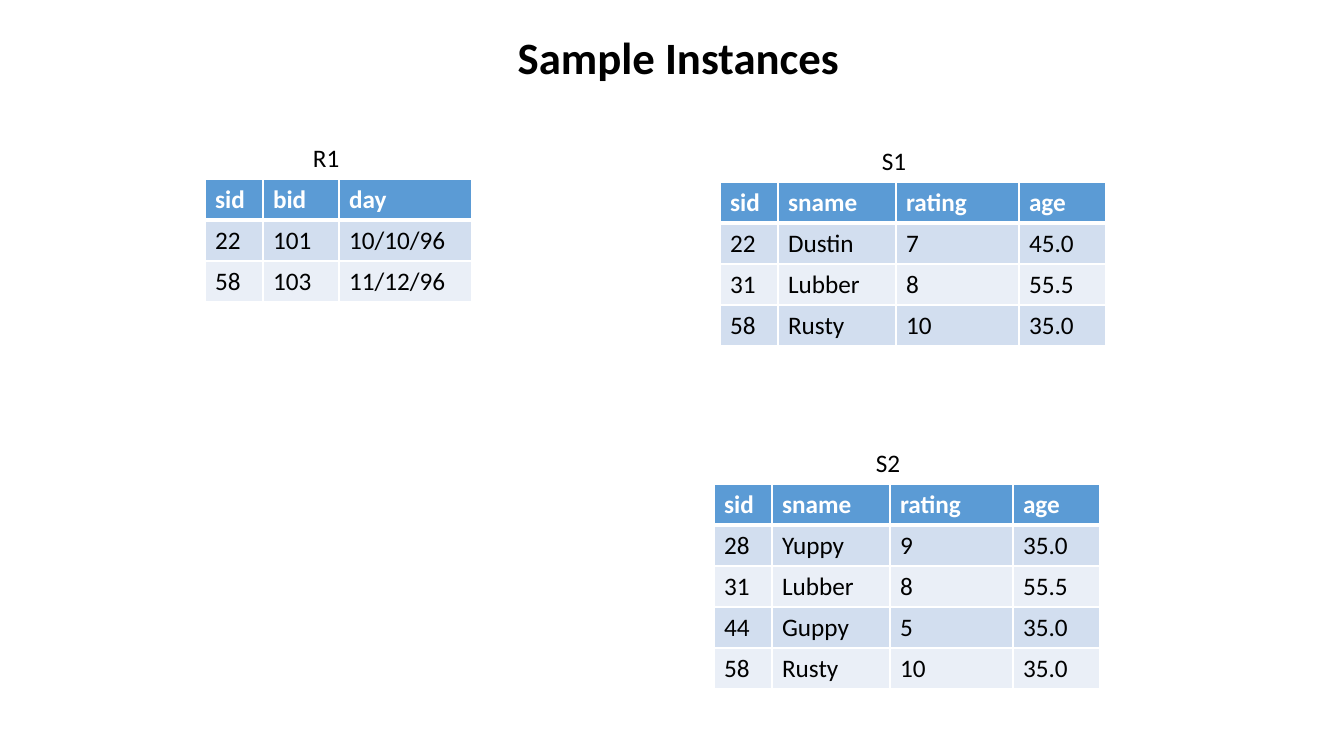
from dataclasses import dataclass
from lxml.etree import SubElement as Sub
from pptx import Presentation
from pptx.dml.color import RGBColor as Rgb
from pptx.enum.text import MSO_ANCHOR as Anchor, MSO_AUTO_SIZE as Auto, PP_ALIGN as Align
from pptx.oxml.ns import qn
from pptx.util import Emu, Pt

SCALE = 914400 / 100.8


@dataclass(frozen=True)
class Theme:
    font: str = "Calibri"
    title: int = 32
    body: int = 18
    ink: str = "000000"
    white: str = "FFFFFF"
    head: str = "5B9BD5"
    bands: tuple = ("EAEFF7", "D2DEEF")
    thin: int = 1
    thick: int = 3


THEME = Theme()


def px(num):
    return Emu(round(num * SCALE))


def style(par, size, color, bold=False):
    font = par.font
    font.name, font.size, font.bold = THEME.font, Pt(size), bold
    font.color.rgb = Rgb.from_string(color)


def border(cell, row):
    props = cell._tc.get_or_add_tcPr()
    thick = {0: "B", 1: "T"}.get(row)
    for side in "LRTB":
        width = THEME.thick if side == thick else THEME.thin
        line = Sub(props, qn(f"a:ln{side}"), w=str(Pt(width)))
        Sub(Sub(line, qn("a:solidFill")), qn("a:srgbClr"), val=THEME.white)


def heading(slide, box):
    shape = slide.shapes.title
    shape.left, shape.top, shape.width, shape.height = map(px, box)
    frame = shape.text_frame
    frame.text = "Sample Instances"
    frame.vertical_anchor = Anchor.TOP
    frame.auto_size = Auto.SHAPE_TO_FIT_TEXT
    par = frame.paragraphs[0]
    par.alignment = Align.CENTER
    style(par, THEME.title, THEME.ink, True)


def label(slide, name, box):
    frame = slide.shapes.add_textbox(*map(px, box)).text_frame
    frame.word_wrap = True
    frame.auto_size = Auto.SHAPE_TO_FIT_TEXT
    frame.text = name
    style(frame.paragraphs[0], THEME.body, THEME.ink)


def relation(slide, name, box, shift, widths, rows):
    left, top, pitch = box
    size = (sum(widths), pitch * len(rows))
    grid = slide.shapes.add_table(
        len(rows), len(widths), px(left), px(top), *map(px, size)
    ).table
    for col, width in zip(grid.columns, widths):
        col.width = px(width)
    for i, row in enumerate(rows):
        grid.rows[i].height = px(pitch)
        for j, text in enumerate(row):
            cell = grid.cell(i, j)
            cell.text = text
            border(cell, i)
            cell.fill.solid()
            fill = THEME.bands[i % 2] if i else THEME.head
            cell.fill.fore_color.rgb = Rgb.from_string(fill)
            ink = THEME.ink if i else THEME.white
            style(cell.text_frame.paragraphs[0], THEME.body, ink, i == 0)
    label(slide, name, (left + shift, top - 42, 53, 40))


BOOKING = (58, 76, 133)
SAILOR = (58, 118, 123, 87)
FIELDS = ("sid", "sname", "rating", "age")
LUBBER = ("31", "Lubber", "8", "55.5")
RUSTY = ("58", "Rusty", "10", "35.0")

deck = Presentation()
deck.slide_width, deck.slide_height = px(1344), px(756)
slide = deck.slides.add_slide(deck.slide_layouts[5])

heading(slide, (256, 25, 845, 64))
relation(slide, "R1", (205, 179, 41), 98, BOOKING, [
    ("sid", "bid", "day"),
    ("22", "101", "10/10/96"),
    ("58", "103", "11/12/96"),
])
relation(slide, "S1", (720, 182, 41), 152, SAILOR, [
    FIELDS,
    ("22", "Dustin", "7", "45.0"),
    LUBBER,
    RUSTY,
])
relation(slide, "S2", (714, 484, 41), 152, SAILOR, [
    FIELDS,
    ("28", "Yuppy", "9", "35.0"),
    LUBBER,
    ("44", "Guppy", "5", "35.0"),
    RUSTY,
])

deck.save("out.pptx")
